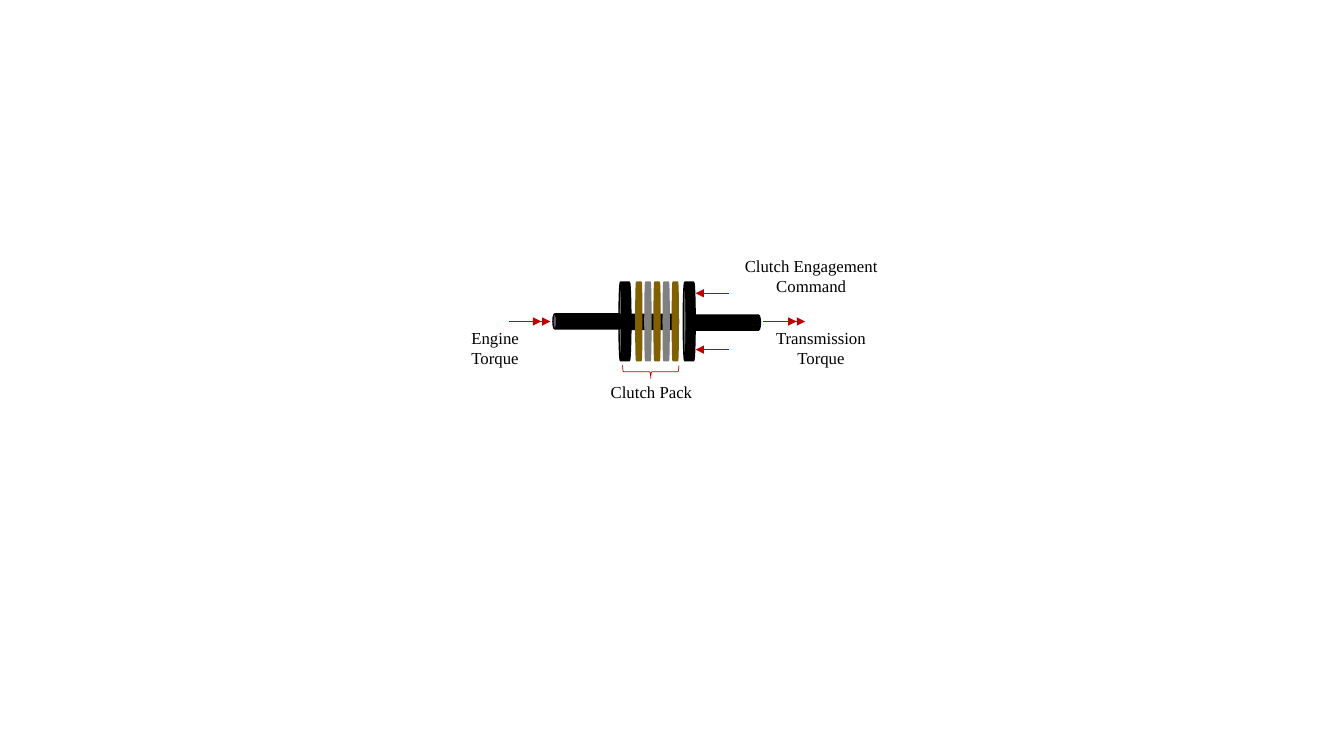
from lxml import etree
from pptx import Presentation
from pptx.dml.color import RGBColor
from pptx.enum.shapes import MSO_CONNECTOR, MSO_SHAPE
from pptx.enum.text import PP_ALIGN
from pptx.oxml.ns import qn
from pptx.util import Cm, Pt

COLORS = {"steel": "000000", "friction": "806000", "separator": "808080",
          "signal": "C00000", "text": "000000"}
FONT = {"name": "Times New Roman", "size": Pt(12)}
PARAGRAPH = {"space_before": Pt(0), "space_after": Pt(2)}


def rgb(name):
    return RGBColor.from_string(COLORS[name])


def add_turned(shapes, kind, cx, cy, length, height, color, weight):
    """Add a shape turned upright to the left, placed by its centre."""
    sp = shapes.add_shape(kind, Cm(cx - height / 2), Cm(cy - length / 2),
                          Cm(height), Cm(length))
    sp.rotation = 270
    sp.shadow.inherit = False
    sp.line.color.rgb = rgb(color)
    sp.line.width = Pt(weight)
    return sp


prs = Presentation()
prs.slide_width, prs.slide_height = Cm(33.87), Cm(19.05)
s = prs.slides.add_slide(prs.slide_layouts[6])
clutch = s.shapes.add_group_shape().shapes

# Shafts, flanges and plates: centre x, centre y, length, diameter, color
plates = [(16.1 + 0.23 * i, 8.1, 0.15, 1.98, ("friction", "separator")[i % 2])
          for i in range(5)]
parts = [
    (16.4, 8.11, 1.4, 0.38, "steel"),
    (15.75, 8.1, 0.3, 1.98, "steel"),
    (14.8, 8.1, 1.73, 0.38, "steel"),
    *plates,
    (18.3, 8.13, 1.73, 0.38, "steel"),
    (17.37, 8.1, 0.3, 1.98, "steel"),
]
for cx, cy, length, diameter, color in parts:
    sp = add_turned(clutch, MSO_SHAPE.CAN, cx, cy, length, diameter, color, 1)
    sp.fill.solid()
    sp.fill.fore_color.rgb = rgb(color)

# Brace under the clutch pack
brace = add_turned(clutch, MSO_SHAPE.LEFT_BRACE, 16.4, 9.37, 1.42, 0.33, "signal", 0.5)
brace.fill.background()

# Arrows: start x, end x, y
arrows = [
    (18.36, 17.53, 7.39), (18.36, 17.53, 8.81),  # engagement command
    (12.83, 13.64, 8.1), (13.51, 13.87, 8.1),    # engine torque
    (19.25, 20.07, 8.1), (19.23, 20.29, 8.1),    # transmission torque
]
for x1, x2, y in arrows:
    arrow = clutch.add_connector(MSO_CONNECTOR.STRAIGHT, Cm(x1), Cm(y), Cm(x2), Cm(y))
    arrow.line.color.rgb = rgb("signal")
    arrow.line.width = Pt(0.5)
    etree.SubElement(arrow.line._get_or_add_ln(), qn("a:tailEnd"), type="triangle")
    etree.SubElement(arrow._element.spPr, qn("a:effectLst"))

# Labels: text, left, top, width, height, alignment
labels = [
    ("Clutch Engagement Command", 17.98, 6.32, 4.93, 0.91, PP_ALIGN.CENTER),
    ("Clutch Pack", 15.14, 9.5, 2.64, 0.79, PP_ALIGN.LEFT),
    ("Engine Torque", 11.63, 8.13, 1.83, 1.6, PP_ALIGN.LEFT),
    ("Transmission Torque", 19.18, 8.13, 3.02, 1.6, PP_ALIGN.CENTER),
]
for text, left, top, width, height, align in labels:
    tf = clutch.add_textbox(Cm(left), Cm(top), Cm(width), Cm(height)).text_frame
    tf.word_wrap = True
    p = tf.paragraphs[0]
    p.alignment = align
    for key, value in PARAGRAPH.items():
        setattr(p, key, value)
    r = p.add_run()
    r.text = text
    for key, value in FONT.items():
        setattr(r.font, key, value)
    r.font.color.rgb = rgb("text")

prs.save("out.pptx")
